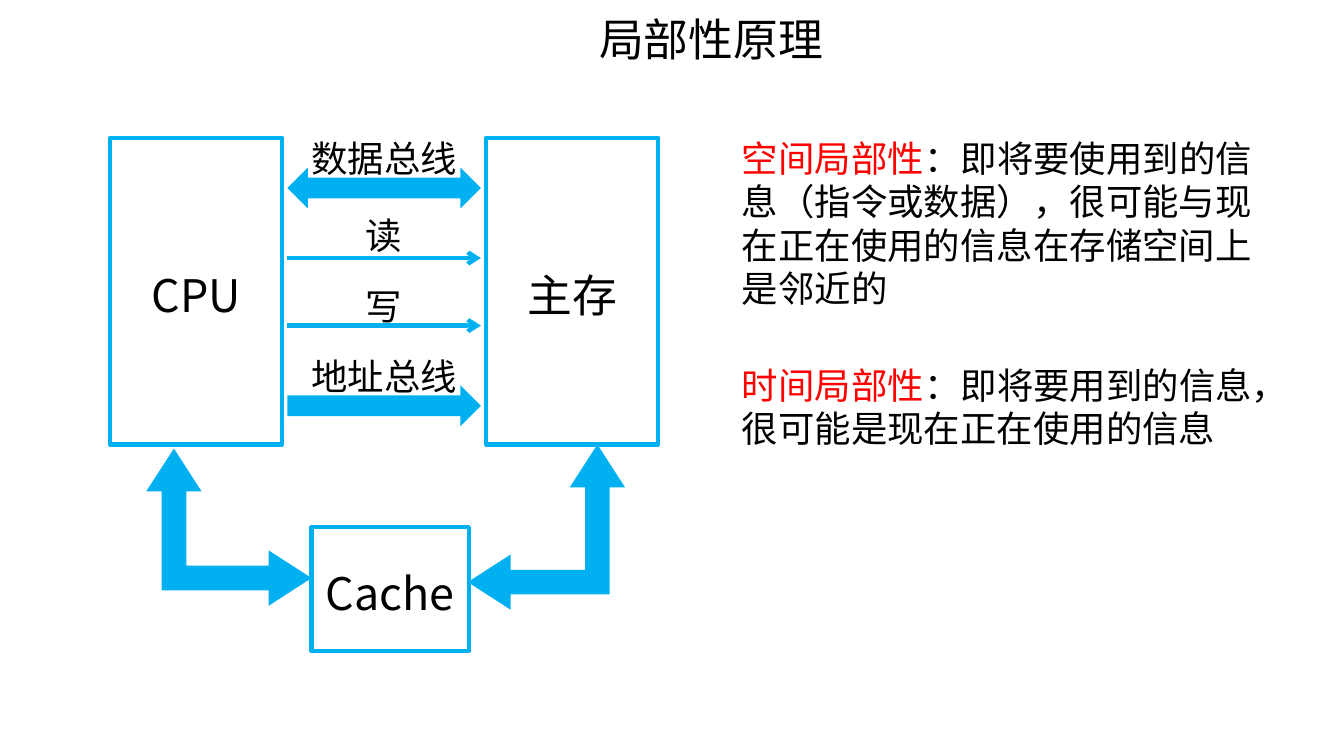
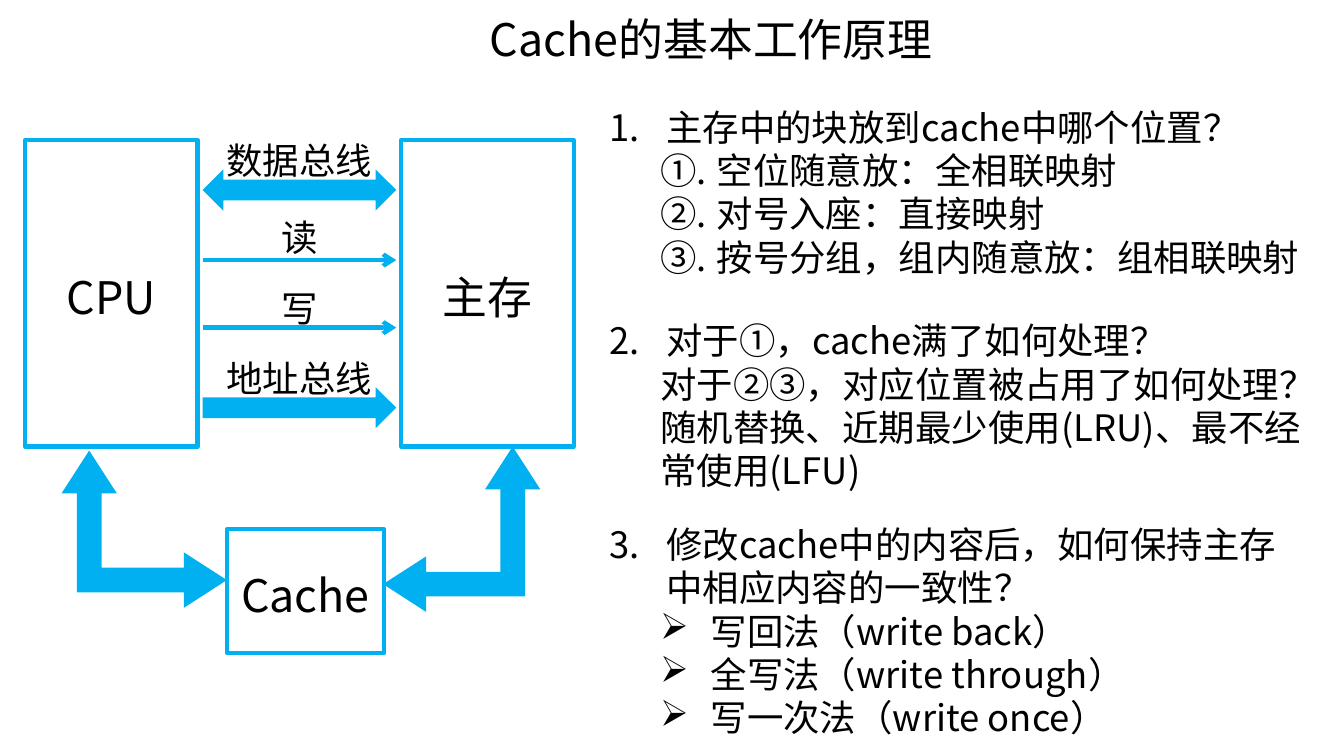
from lxml.etree import SubElement
from pptx import Presentation
from pptx.dml.color import RGBColor
from pptx.enum.shapes import MSO_CONNECTOR, MSO_SHAPE
from pptx.enum.text import MSO_ANCHOR, MSO_AUTO_SIZE, PP_ALIGN
from pptx.oxml.ns import qn
from pptx.util import Inches, Pt

FONT = "Noto Sans CJK SC"
BLUE, RED, BLACK = "00B0F0", "FF0000", "000000"
LARGE, NORMAL = 32, 26
LINE_HEIGHT = {LARGE: 38, NORMAL: 31}


def paint(shape, fill=None, line=None):
    shape.shadow.inherit = False
    if fill:
        shape.fill.solid()
        shape.fill.fore_color.rgb = RGBColor.from_string(fill)
    else:
        shape.fill.background()
    if line:
        shape.line.color.rgb = RGBColor.from_string(line)
        shape.line.width = Pt(3)
    else:
        shape.line.fill.background()


def write(shape, paragraphs, size, align=PP_ALIGN.LEFT, anchor=MSO_ANCHOR.TOP, wrap=True):
    """Each paragraph is (list style, [(text, colour), ...])."""
    frame = shape.text_frame
    frame_format = {
        "word_wrap": wrap, "auto_size": MSO_AUTO_SIZE.NONE, "vertical_anchor": anchor,
        "margin_left": Inches(0.1), "margin_right": Inches(0.1),
        "margin_top": Inches(0.07), "margin_bottom": 0,
    }
    for name, value in frame_format.items():
        setattr(frame, name, value)
    for index, (style, spans) in enumerate(paragraphs):
        para = frame.add_paragraph() if index else frame.paragraphs[0]
        if style:
            margin, indent, bullet, attributes = style
            properties = para._p.get_or_add_pPr()
            properties.set("marL", str(Inches(margin)))
            properties.set("indent", str(Inches(indent)))
            SubElement(properties, qn(bullet), attributes)
        para.alignment = align
        para.line_spacing = Pt(LINE_HEIGHT[size])
        for text, colour in spans:
            span = para.add_run()
            span.text = text
            for name, value in {"name": FONT, "size": Pt(size), "bold": False}.items():
                setattr(span.font, name, value)
            span.font.color.rgb = RGBColor.from_string(colour)
            SubElement(span._r.get_or_add_rPr(), qn("a:ea"), typeface=FONT)


# List styles: left margin, first-line indent, bullet element, its attributes
NUMBERED = [
    (0.56, -0.56, "a:buAutoNum", {"type": "arabicPeriod", "startAt": str(number)})
    for number in (1, 2, 3)
]
CIRCLED = (1.06, -0.56, "a:buAutoNum", {"type": "circleNumDbPlain"})
ARROWED = (1, -0.5, "a:buChar", {"char": "➢"})
INDENTED = (0.5, 0, "a:buNone", {})

# Diagram parts, measured from the top left corner of the CPU box
BLOCKS = [
    ("CPU", 0, 0, 1.71, 3.04),
    ("主存", 3.73, 0, 1.71, 3.04),
    ("Cache", 2, 3.86, 1.56, 1.23),
]
BUS_LEFT, BUS_WIDTH, BUS_HEIGHT = 1.76, 1.92, 0.41
BUSES = [(MSO_SHAPE.LEFT_RIGHT_ARROW, 0.29), (MSO_SHAPE.RIGHT_ARROW, 2.45)]
SIGNAL_TOPS = [1.19, 1.86]
LABELS = [
    ("数据总线", 1.66, -0.09),
    ("读", 0.57, 0.68),
    ("写", 0.57, 1.38),
    ("地址总线", 1.66, 2.08),
]
CACHE_ARROWS = [(3.55, 0), (0.4, 90)]

# Slides: title, diagram corner, text boxes (left, top, width, height, paragraphs)
SLIDES = [
    ("局部性原理", (1.09, 1.37), [
        (7.26, 1.28, 5.53, 1.85, [
            (None, [("空间局部性", RED),
                    ("：即将要使用到的信息（指令或数据），很可能与现在正在使用的信息在存储空间上是邻近的", BLACK)]),
        ]),
        (7.26, 3.53, 5.53, 0.98, [
            (None, [("时间局部性", RED),
                    ("：即将要用到的信息，很可能是现在正在使用的信息", BLACK)]),
        ]),
    ]),
    ("Cache的基本工作原理", (0.25, 1.39), [
        (5.95, 0.97, 7.14, 1.85, [
            (NUMBERED[0], [("主存中的块放到cache中哪个位置？", BLACK)]),
            (CIRCLED, [("空位随意放：全相联映射", BLACK)]),
            (CIRCLED, [("对号入座：直接映射", BLACK)]),
            (CIRCLED, [("按号分组，组内随意放：组相联映射", BLACK)]),
        ]),
        (5.95, 3.09, 7.14, 1.85, [
            (NUMBERED[1], [("对于①，cache满了如何处理？", BLACK)]),
            (INDENTED, [("对于②③，对应位置被占用了如何处理？", BLACK)]),
            (INDENTED, [("随机替换、近期最少使用(LRU)、最不经常使用(LFU)", BLACK)]),
        ]),
        (5.95, 5.11, 7.14, 2.29, [
            (NUMBERED[2], [("修改cache中的内容后，如何保持主存中相应内容的一致性？", BLACK)]),
            (ARROWED, [("写回法（write back）", BLACK)]),
            (ARROWED, [("全写法（write through）", BLACK)]),
            (ARROWED, [("写一次法（write once）", BLACK)]),
        ]),
    ]),
]

deck = Presentation()
deck.slide_width, deck.slide_height = Inches(13.33), Inches(7.5)

for title_text, (left, top), text_boxes in SLIDES:
    page = deck.slides.add_slide(deck.slide_layouts[5])

    # Title
    title = page.shapes.title
    title_place = {"left": 4.05, "top": 0.05, "width": 6.01, "height": 0.64}
    for name, value in title_place.items():
        setattr(title, name, Inches(value))
    write(title, [(None, [(title_text, BLACK)])], LARGE, PP_ALIGN.CENTER)

    # CPU, main memory and cache
    for name, x, y, width, height in BLOCKS:
        block = page.shapes.add_shape(
            MSO_SHAPE.RECTANGLE, Inches(left + x), Inches(top + y), Inches(width), Inches(height))
        paint(block, line=BLUE)
        write(block, [(None, [(name, BLACK)])], LARGE, PP_ALIGN.CENTER, MSO_ANCHOR.MIDDLE)

    # Data and address buses
    for kind, y in BUSES:
        bus = page.shapes.add_shape(
            kind, Inches(left + BUS_LEFT), Inches(top + y), Inches(BUS_WIDTH), Inches(BUS_HEIGHT))
        paint(bus, fill=BLUE)

    # Read and write signals
    for y in SIGNAL_TOPS:
        signal = page.shapes.add_connector(
            MSO_CONNECTOR.STRAIGHT, Inches(left + BUS_LEFT), Inches(top + y),
            Inches(left + BUS_LEFT + BUS_WIDTH), Inches(top + y))
        signal.line.color.rgb = RGBColor.from_string(BLUE)
        signal.line.width = Pt(3)
        SubElement(signal.line._get_or_add_ln(), qn("a:tailEnd"), type="arrow")
        SubElement(signal._element.spPr, qn("a:effectLst"))

    # Labels centred over the buses and signals
    for text, width, y in LABELS:
        x = BUS_LEFT + (BUS_WIDTH - width) / 2
        label = page.shapes.add_textbox(
            Inches(left + x), Inches(top + y), Inches(width), Inches(0.54))
        write(label, [(None, [(text, BLACK)])], NORMAL, PP_ALIGN.CENTER, wrap=False)

    # Bent arrows between the cache and the two large blocks
    for x, rotation in CACHE_ARROWS:
        arrow = page.shapes.add_shape(
            MSO_SHAPE.LEFT_UP_ARROW, Inches(left + x), Inches(top + 3.04), Inches(1.56), Inches(1.64))
        arrow.rotation = rotation
        for index, value in enumerate((0.157, 0.176, 0.273)):
            arrow.adjustments[index] = value
        paint(arrow, fill=BLUE)

    # Explanations
    for x, y, width, height, paragraphs in text_boxes:
        box = page.shapes.add_textbox(Inches(x), Inches(y), Inches(width), Inches(height))
        write(box, paragraphs, NORMAL)

deck.save("out.pptx")
